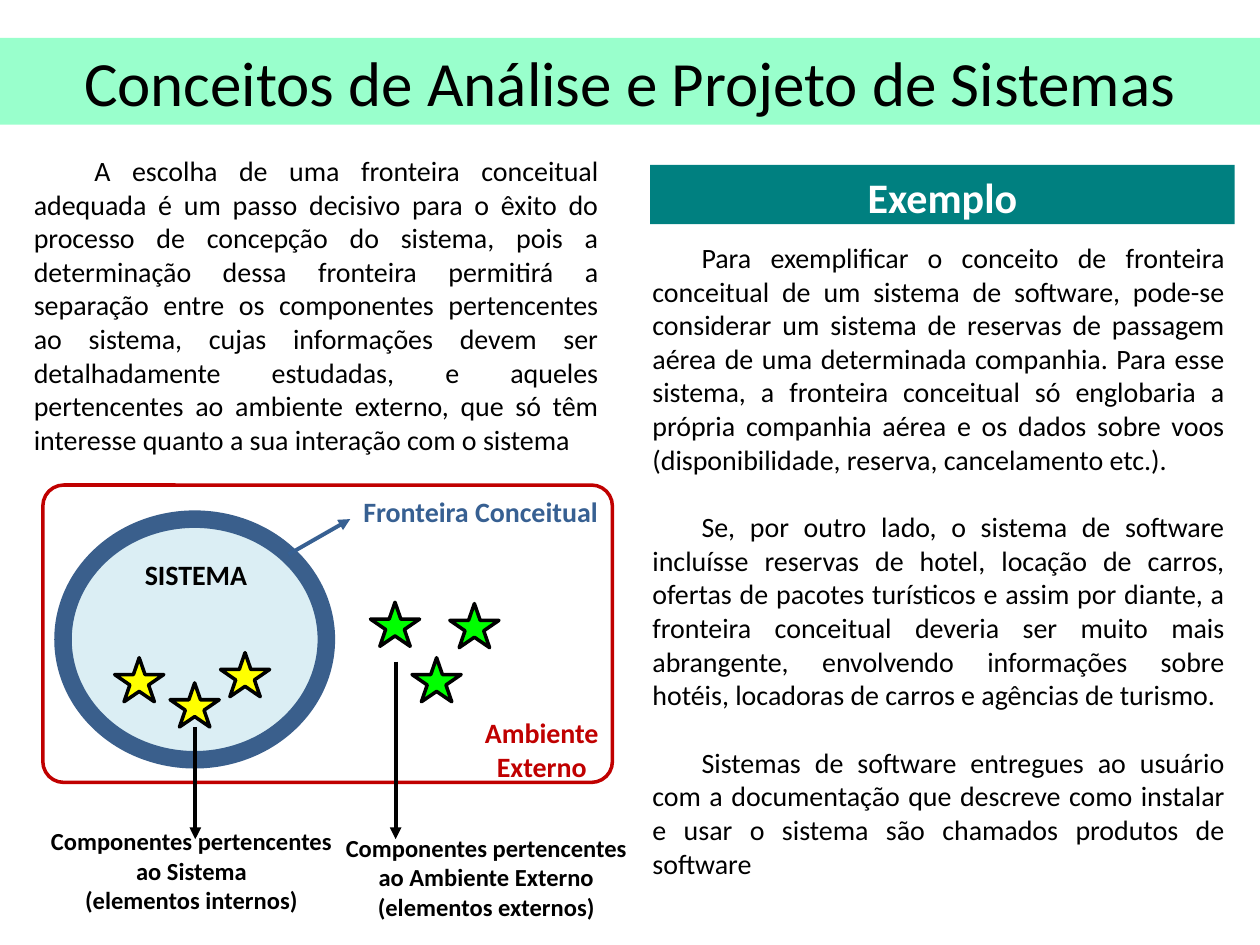
from pptx import Presentation
from pptx.dml.color import RGBColor
from pptx.enum.shapes import MSO_CONNECTOR, MSO_SHAPE
from pptx.enum.text import MSO_ANCHOR, PP_ALIGN
from pptx.oxml.ns import qn
from pptx.util import Inches, Pt
from lxml import etree

LINE = MSO_CONNECTOR.STRAIGHT
RECT, ROUND = MSO_SHAPE.RECTANGLE, MSO_SHAPE.ROUNDED_RECTANGLE
OVAL, STAR = MSO_SHAPE.OVAL, MSO_SHAPE.STAR_5_POINT
TOP, MIDDLE = MSO_ANCHOR.TOP, MSO_ANCHOR.MIDDLE
CENTER, JUSTIFY = PP_ALIGN.CENTER, PP_ALIGN.JUSTIFY


def color(code):
    return RGBColor.from_string(code)


def write(shape, text, size, code, bold=False, align=CENTER, anchor=TOP, indent=0, gap=0):
    frame = shape.text_frame
    frame.word_wrap = True
    frame.vertical_anchor = anchor
    frame.text = text
    for index, line in enumerate(frame.paragraphs):
        line.alignment = align
        if indent:
            line._p.get_or_add_pPr().set("indent", str(Inches(indent)))
        if gap and index:
            line.space_before = Pt(gap)
        for run in line.runs:
            run.font.name = "Calibri"
            run.font.size = Pt(size)
            run.font.bold = bold
            run.font.color.rgb = color(code)


deck = Presentation()
deck.slide_width, deck.slide_height = Inches(10), Inches(7.5)
slide = deck.slides.add_slide(deck.slide_layouts[6])
shapes = slide.shapes

banners = [
    ("Conceitos de Análise e Projeto de Sistemas", 0, 0.3, 10, 0.69, "99FFCC", 36, "000000", False, MIDDLE),
    ("Exemplo", 5.16, 1.31, 4.64, 0.47, "008080", 24, "FFFFFF", True, TOP),
]
for text, left, top, width, height, fill, size, ink, bold, anchor in banners:
    bar = shapes.add_shape(RECT, Inches(left), Inches(top), Inches(width), Inches(height))
    bar.shadow.inherit = False
    bar.fill.solid()
    bar.fill.fore_color.rgb = color(fill)
    bar.line.fill.background()
    write(bar, text, size, ink, bold, anchor=anchor)

YELLOW, GREEN = "FFFF00", "00FF00"
figures = [
    (ROUND, 0.34, 3.85, 4.52, 2.36, "FFFFFF", "C00000", 2),
    (OVAL, 0.5, 4.12, 2.09, 1.91, "DBEEF4", "3A5F8C", 10),
]
stars = [
    (0.91, 5.22, YELLOW), (1.35, 5.42, YELLOW), (1.75, 5.18, YELLOW),
    (3.27, 5.22, GREEN), (3.57, 4.79, GREEN), (2.94, 4.78, GREEN),
]
figures += [(STAR, left, top, 0.39, 0.35, fill, "000000", 2) for left, top, fill in stars]
for kind, left, top, width, height, fill, edge, weight in figures:
    figure = shapes.add_shape(kind, Inches(left), Inches(top), Inches(width), Inches(height))
    figure.shadow.inherit = False
    figure.fill.solid()
    figure.fill.fore_color.rgb = color(fill)
    figure.line.color.rgb = color(edge)
    figure.line.width = Pt(weight)
    if kind == ROUND:
        figure.adjustments[0] = 0.07

arrows = [
    (1.55, 5.77, 1.55, 6.66, "000000"),
    (2.29, 4.4, 2.78, 4.12, "376092"),
    (3.14, 5.25, 3.14, 6.66, "000000"),
]
for left, top, right, end, ink in arrows:
    arrow = shapes.add_connector(LINE, Inches(left), Inches(top), Inches(right), Inches(end))
    arrow.line.color.rgb = color(ink)
    arrow.line.width = Pt(2.25)
    etree.SubElement(arrow.line._get_or_add_ln(), qn("a:tailEnd"), type="triangle")
    etree.SubElement(arrow._element.spPr, qn("a:effectLst"))

labels = [
    ("SISTEMA", 0.91, 4.38, 1.29, 0.37, 16, "000000"),
    ("Fronteira Conceitual", 2.55, 3.88, 2.53, 0.37, 16, "376092"),
    ("Ambiente\nExterno", 3.66, 5.63, 1.28, 0.64, 16, "C00000"),
    ("Componentes pertencentes\nao Sistema\n(elementos internos)", 0.17, 6.51, 2.7, 0.81, 14, "000000"),
    ("Componentes pertencentes\nao Ambiente Externo\n(elementos externos)", 2.51, 6.56, 2.7, 0.81, 14, "000000"),
]
for text, left, top, width, height, size, ink in labels:
    label = shapes.add_textbox(Inches(left), Inches(top), Inches(width), Inches(height))
    write(label, text, size, ink, True)

choice = (
    "A escolha de uma fronteira conceitual adequada é um passo decisivo para o êxito do "
    "processo de concepção do sistema, pois a determinação dessa fronteira permitirá a "
    "separação entre os componentes pertencentes ao sistema, cujas informações devem ser "
    "detalhadamente estudadas, e aqueles pertencentes ao ambiente externo, que só têm "
    "interesse quanto a sua interação com o sistema"
)
sample = (
    "Para exemplificar o conceito de fronteira conceitual de um sistema de software, pode-se "
    "considerar um sistema de reservas de passagem aérea de uma determinada companhia. Para "
    "esse sistema, a fronteira conceitual só englobaria a própria companhia aérea e os dados "
    "sobre voos (disponibilidade, reserva, cancelamento etc.).\n"
    "Se, por outro lado, o sistema de software incluísse reservas de hotel, locação de carros, "
    "ofertas de pacotes turísticos e assim por diante, a fronteira conceitual deveria ser muito "
    "mais abrangente, envolvendo informações sobre hotéis, locadoras de carros e agências de "
    "turismo.\n"
    "Sistemas de software entregues ao usuário com a documentação que descreve como instalar "
    "e usar o sistema são chamados produtos de software"
)
bodies = [
    (choice, 0.17, 1.17, 4.68, 2.52, 0.48),
    (sample, 5.08, 1.86, 4.74, 5.49, 0.39),
]
for text, left, top, width, height, indent in bodies:
    body = shapes.add_textbox(Inches(left), Inches(top), Inches(width), Inches(height))
    write(body, text, 16, "000000", align=JUSTIFY, indent=indent, gap=19.5)

deck.save("out.pptx")
